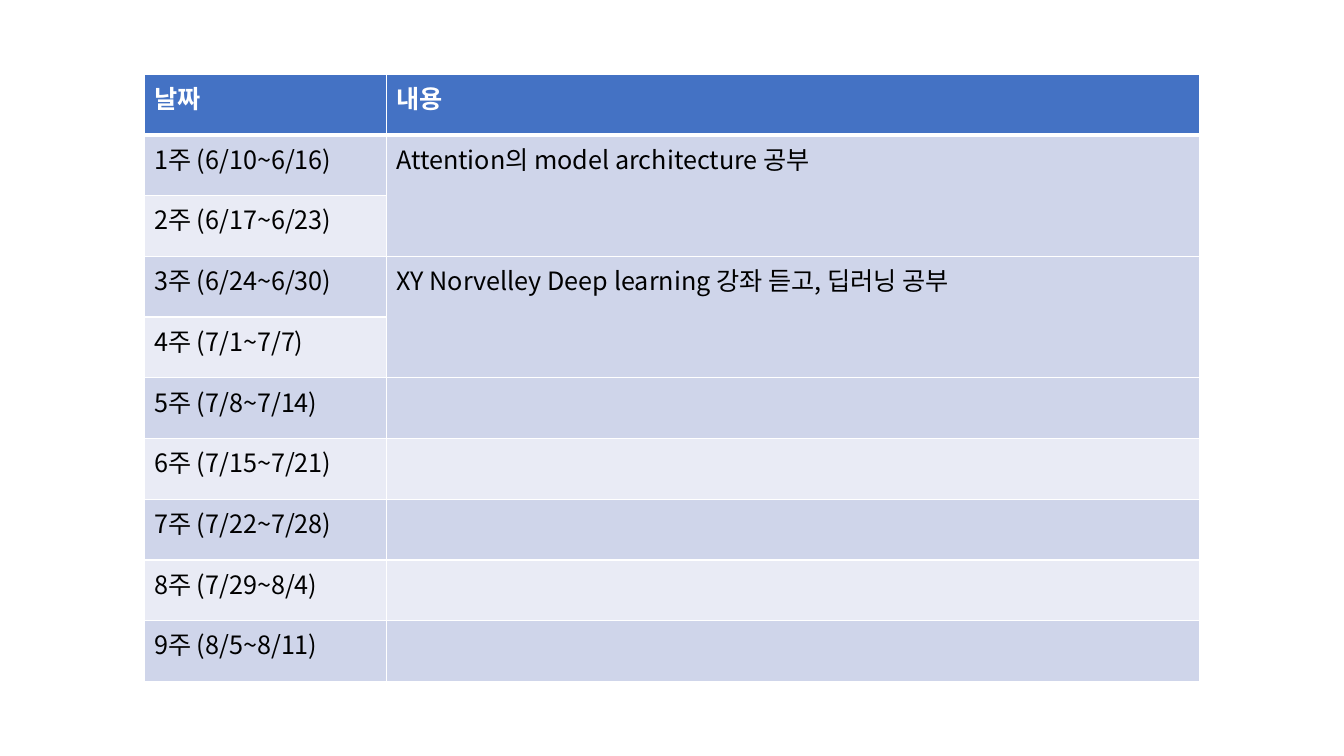
from lxml.etree import SubElement
from pptx import Presentation
from pptx.dml.color import RGBColor
from pptx.oxml.ns import qn
from pptx.util import Cm, Pt

FONT = "Noto Sans CJK KR"
WHITE, BLACK, HEADER = "FFFFFF", "000000", "4472C4"
BANDS = ("CFD5EA", "E9EBF5")
WEEKS = ("6/10~6/16", "6/17~6/23", "6/24~6/30", "7/1~7/7", "7/8~7/14",
         "7/15~7/21", "7/22~7/28", "7/29~8/4", "8/5~8/11")
TOPICS = {1: "Attention의 model architecture 공부",
          3: "XY Norvelley Deep learning 강좌 듣고, 딥러닝 공부"}


def rgb(color):
    return RGBColor.from_string(color)


def add_borders(cell, bottom):
    tc_pr = cell._tc.get_or_add_tcPr()
    for side, width in zip("LRTB", (1, 1, 1, bottom)):
        ln = SubElement(tc_pr, qn(f"a:ln{side}"), w=str(Pt(width)))
        fill = SubElement(ln, qn("a:solidFill"))
        SubElement(fill, qn("a:srgbClr"), val=WHITE)


def format_cell(cell, text, fill, color, header):
    add_borders(cell, 3 if header else 1)
    cell.fill.solid()
    cell.fill.fore_color.rgb = rgb(fill)
    cell.text = text
    p = cell.text_frame.paragraphs[0]
    for font in [p.font] + [r.font for r in p.runs]:
        font.name, font.size, font.bold = FONT, Pt(18), header
        font.color.rgb = rgb(color)
        SubElement(font._element, qn("a:ea"), typeface=FONT)


def add_schedule(s, left, top, width, height):
    rows = [("날짜", "내용")]
    rows += [(f"{n}주 ({dates})", TOPICS.get(n, "")) for n, dates in enumerate(WEEKS, 1)]
    table = s.shapes.add_table(len(rows), 2, left, top, width, height).table
    table.columns[0].width = Cm(6.1)
    table.columns[1].width = width - Cm(6.1)
    for n, texts in enumerate(rows):
        header = n == 0
        fill = HEADER if header else BANDS[(n - 1) % 2]
        for col, text in enumerate(texts):
            format_cell(table.cell(n, col), text, fill, WHITE if header else BLACK, header)
    for n in TOPICS:
        table.cell(n, 1).merge(table.cell(n + 1, 1))


prs = Presentation()
prs.slide_width, prs.slide_height = Cm(33.87), Cm(19.05)
s = prs.slides.add_slide(prs.slide_layouts[6])
add_schedule(s, Cm(3.63), Cm(1.87), Cm(26.61), Cm(15.3))
prs.save("out.pptx")
